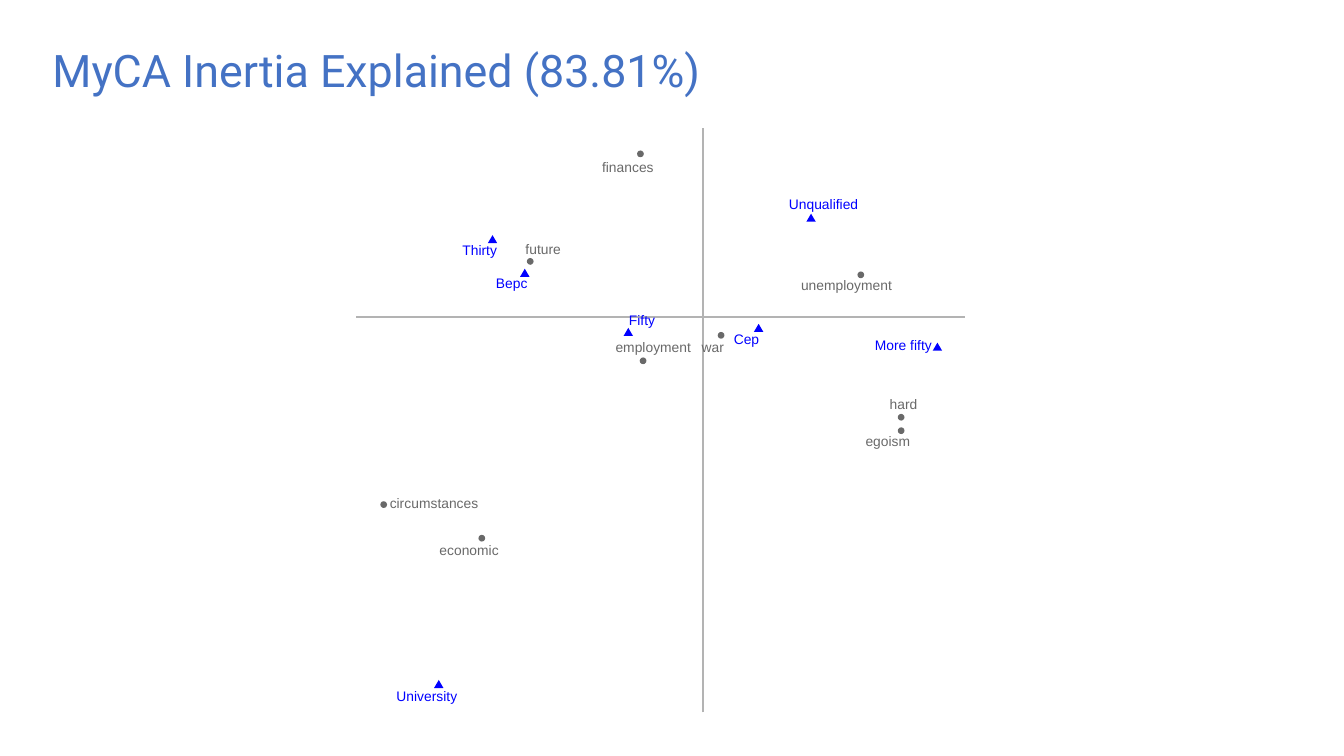
from pptx import Presentation
from pptx.dml.color import RGBColor
from pptx.enum.shapes import MSO_CONNECTOR as Connector, MSO_SHAPE as Shape
from pptx.enum.text import MSO_ANCHOR as Anchor, MSO_AUTO_SIZE as AutoSize, PP_ALIGN as Align
from pptx.oxml.ns import qn
from pptx.util import Inches, Pt
from lxml import etree

WIDTH = Inches(10)
HEIGHT = WIDTH * 9 // 16
CELL = WIDTH // 1000
LABEL_SLACK = 2
BLUE, GRAY, AXIS, WHITE, TITLE = "0000FF", "696969", "B3B3B3", "FFFFFF", "4472C4"
PLOT = (92, 95, 800, 435)

CATEGORIES = [
    ("Unqualified", (600, 159), (587, 148, 51, 10)),
    ("Cep", (561, 241), (546, 248, 19, 10)),
    ("Bepc", (387, 200), (369, 207, 23, 9)),
    ("University", (323, 506), (295, 514, 45, 10)),
    ("Thirty", (363, 175), (344, 182, 26, 10)),
    ("Fifty", (464, 244), (468, 234, 19, 10)),
    ("More fifty", (694, 255), (651, 253, 42, 10)),
]
WORDS = [
    ("future", (392, 192), (391, 182, 26, 8)),
    ("unemployment", (638, 202), (596, 208, 67, 10)),
    ("circumstances", (283, 373), (290, 372, 66, 7)),
    ("hard", (668, 308), (662, 298, 21, 7)),
    ("economic", (356, 398), (327, 407, 44, 7)),
    ("egoism", (668, 318), (644, 324, 33, 10)),
    ("employment", (476, 266), (458, 254, 56, 10)),
    ("finances", (474, 112), (448, 121, 38, 8)),
    ("war", (534, 247), (522, 256, 17, 6)),
]
SERIES = [
    (CATEGORIES, Shape.ISOSCELES_TRIANGLE, (7, 6), BLUE),
    (WORDS, Shape.OVAL, (5, 5), GRAY),
]


def color(code):
    return RGBColor.from_string(code)


def place(*cells):
    return [CELL * count for count in cells]


def write(frame, text, font, size, code, spacing):
    para = frame.paragraphs[0]
    para.alignment = Align.LEFT
    para.line_spacing = spacing
    span = para.add_run()
    span.text = text
    span.font.name = font
    span.font.size = Pt(size)
    span.font.color.rgb = color(code)


def add_title(page, text):
    title = page.shapes.title
    title.left, title.top, title.width, title.height = place(29, 27, 862, 55)
    frame = title.text_frame
    frame.auto_size = AutoSize.NONE
    frame.vertical_anchor = Anchor.MIDDLE
    write(frame, text, "Roboto", 24, TITLE, 0.9)


def add_solid(group, kind, area, code):
    shape = group.shapes.add_shape(kind, *place(*area))
    shape.shadow.inherit = False
    shape.fill.solid()
    shape.fill.fore_color.rgb = color(code)
    shape.line.fill.background()
    return shape


def add_background(group):
    panel = add_solid(group, Shape.RECTANGLE, PLOT, WHITE)
    panel.line.color.rgb = color(WHITE)
    panel.line.width = Pt(0.75)


def add_axis(group, start, end):
    axis = group.shapes.add_connector(Connector.STRAIGHT, *place(*start, *end))
    axis.line.color.rgb = color(AXIS)
    axis.line.width = Pt(1.07)
    etree.SubElement(axis.element.spPr, qn("a:effectLst"))


def add_label(group, text, area, code):
    left, top, width, height = area
    box = group.shapes.add_textbox(*place(left, top, width + LABEL_SLACK, height))
    frame = box.text_frame
    frame.margin_left = frame.margin_right = 0
    frame.margin_top = frame.margin_bottom = 0
    frame.word_wrap = False
    frame.vertical_anchor = Anchor.MIDDLE
    write(frame, text, "Arial", 7.4, code, Pt(7.4))


def main():
    deck = Presentation()
    deck.slide_width, deck.slide_height = WIDTH, HEIGHT
    page = deck.slides.add_slide(deck.slide_layouts[5])
    add_title(page, "MyCA Inertia Explained (83.81%)")
    plot = page.shapes.add_group_shape()
    add_background(plot)
    for points, kind, size, code in SERIES:
        for name, mark, area in points:
            add_solid(plot, kind, mark + size, code)
    add_axis(plot, (265, 236), (718, 236))
    add_axis(plot, (523, 530), (523, 95))
    for points, kind, size, code in SERIES:
        for name, mark, area in points:
            add_label(plot, name, area, code)
    deck.save("out.pptx")


if __name__ == "__main__":
    main()
